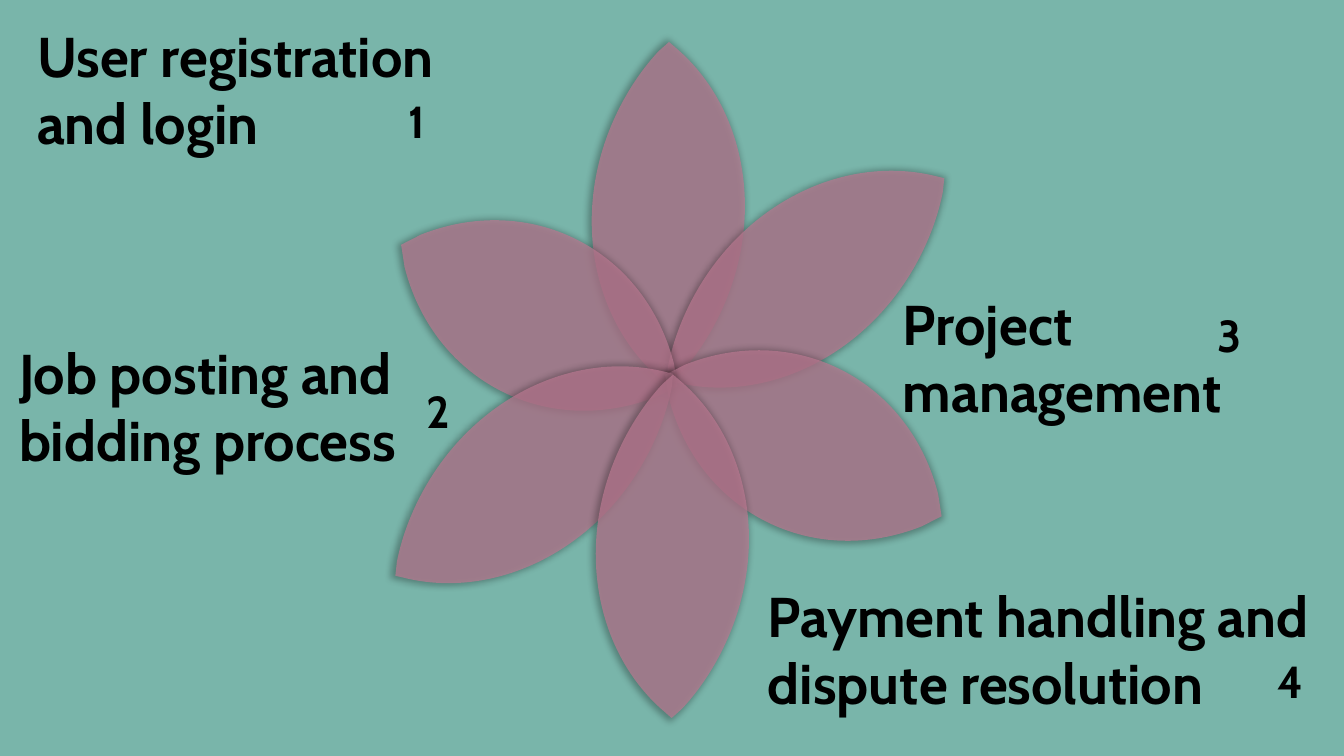
from lxml import etree
from pptx import Presentation
from pptx.dml.color import RGBColor
from pptx.enum.shapes import MSO_SHAPE
from pptx.enum.text import MSO_AUTO_SIZE
from pptx.oxml import parse_xml
from pptx.oxml.ns import nsdecls, qn
from pptx.util import Pt

RECT = MSO_SHAPE.RECTANGLE
GROW = MSO_AUTO_SIZE.SHAPE_TO_FIT_TEXT

TEAL = RGBColor(0x79, 0xB5, 0xAA)
ROSE = RGBColor(0xB9, 0x79, 0x91)
BLACK = RGBColor(0, 0, 0)
FONT = "Cabin"

PX = 9144  # 100 px to the inch
HIGH = 750 * PX
WIDE = HIGH * 16 // 9
SPIN = 27.1  # turn of the whole flower, degrees

# Content: text, left, top, width, height
LABELS = [
    ("User registration and login", 27, 16, 462, 145),
    ("Job posting and bidding process", 9, 331, 462, 145),
    ("Payment handling and dispute resolution", 752, 572, 582, 145),
    ("Project management", 886, 282, 462, 145),
]
DIGITS = [("1", 395, 88), ("4", 1258, 644), ("2", 413, 376), ("3", 1198, 300)]
SIDE = 64

# Half outlines around the petal centre: one point is a line, three a curve.
# Each starts opposite its last point.
STEEP = [
    [(-69, -150)],
    [(22, -129), (91, -38), (91, 72)],
    [(91, 95), (88, 118), (82, 139)],
    [(77, 152)],
]
FLAT = [
    [(55, -84), (105, -59), (141, -18)],
    [(154, 0)],
    [(141, 18)],
    [(105, 59), (55, 84), (0, 84)],
]
# Petals: centre x, centre y, half outline, mirror factor
PETALS = [
    (663, 212, STEEP, 1),
    (799, 277, STEEP, -1),
    (535, 313, FLAT, 1),
    (797, 442, FLAT, 1),
    (530, 471, STEEP, -1),
    (667, 542, STEEP, 1),
]


def bend(petal, pieces):
    """Join the line steps of each three-point piece into one curve."""
    steps = iter(list(petal._element.iter(qn("a:lnTo"))))
    for piece in pieces:
        group = [next(steps) for _ in piece]
        if len(group) == 3:
            group[0].tag = qn("a:cubicBezTo")
            for step in group[1:]:
                group[0].append(step[0])
                step.getparent().remove(step)


def add_petal(x, y, half, flip):
    back = [[(-px, -py) for px, py in piece] for piece in half]
    pieces = half + back
    spots = [((x + flip * px) * PX, (y + py) * PX)
             for piece in pieces for px, py in piece]
    path = shapes.build_freeform(*spots[-1], scale=1.0)
    path.add_line_segments(spots, close=True)
    petal = path.convert_to_shape()
    bend(petal, pieces)
    petal.rotation = SPIN
    petal.fill.solid()
    petal.fill.fore_color.rgb = ROSE
    petal.line.fill.background()
    props = petal._element.spPr
    tint = props.find(qn("a:solidFill")).find(qn("a:srgbClr"))
    etree.SubElement(tint, qn("a:alpha")).set("val", "73000")
    # Soft halo, 5 pt blur, slightly wider than the petal
    props.append(parse_xml(
        f'<a:effectLst {nsdecls("a")}>'
        f'<a:outerShdw blurRad="{Pt(5)}" sx="102000" sy="102000" '
        'algn="ctr" rotWithShape="0">'
        f'<a:srgbClr val="{BLACK}"><a:alpha val="40000"/></a:srgbClr>'
        '</a:outerShdw></a:effectLst>'))


def add_text(text, x, y, w, h, size=40, bold=True, color=BLACK):
    box = shapes.add_textbox(x * PX, y * PX, w * PX, h * PX)
    frame = box.text_frame
    frame.word_wrap = True
    frame.auto_size = GROW
    run = frame.paragraphs[0].add_run()
    run.text = text
    run.font.name = FONT
    run.font.size = Pt(size)
    run.font.bold = bold
    run.font.color.rgb = color


deck = Presentation()
deck.slide_width, deck.slide_height = WIDE, HIGH
shapes = deck.slides.add_slide(deck.slide_layouts[6]).shapes

# Backdrop
back = shapes.add_shape(RECT, 0, 0, WIDE, HIGH)
back.shadow.inherit = False
back.fill.solid()
back.fill.fore_color.rgb = TEAL
back.line.fill.background()

# Flower
for petal in PETALS:
    add_petal(*petal)

# Labels and numbers
for label in LABELS:
    add_text(*label)
for digit, x, y in DIGITS:
    add_text(digit, x, y, SIDE, SIDE, size=32)

deck.save("out.pptx")
